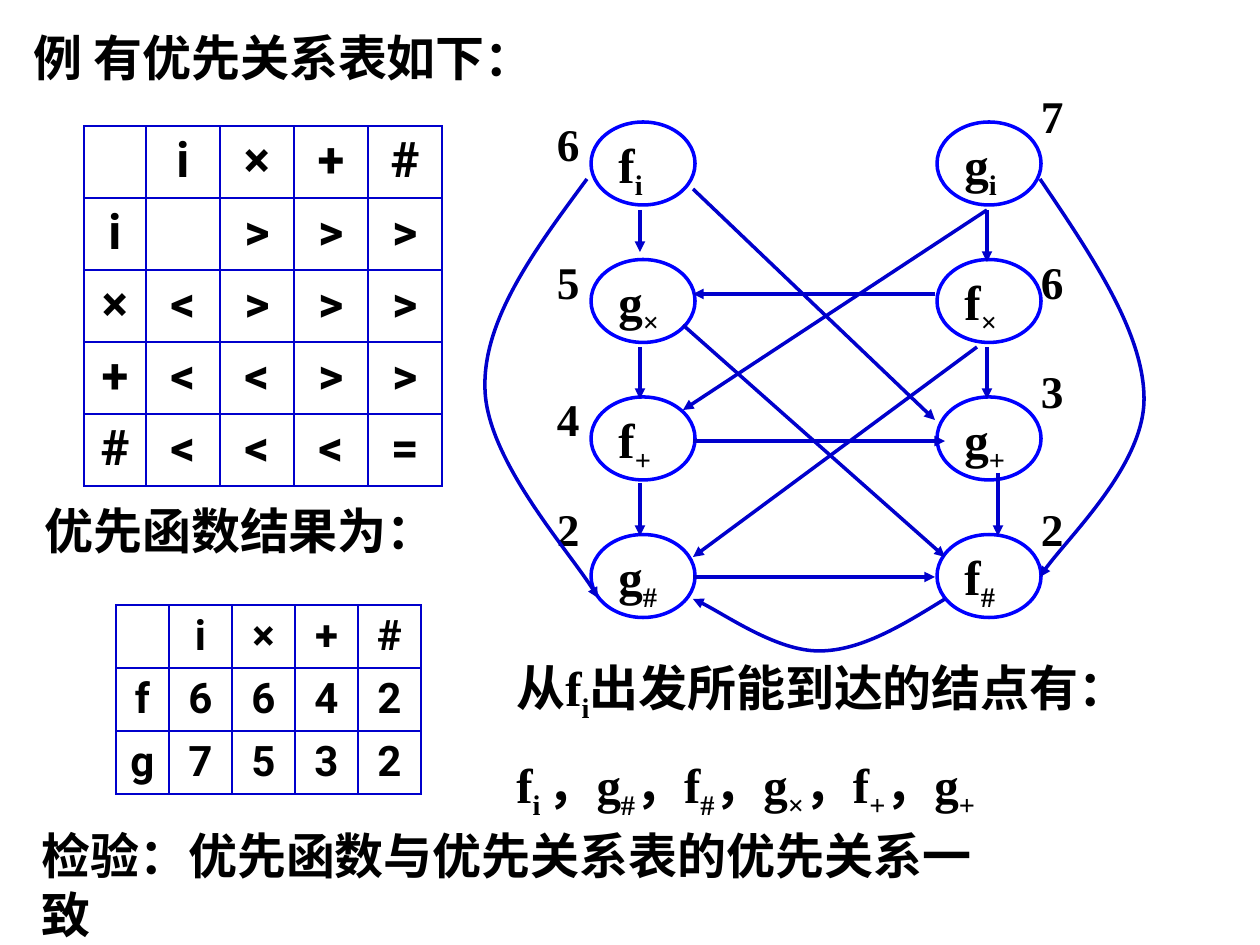
from dataclasses import dataclass
from itertools import accumulate

from lxml.etree import SubElement
from pptx import Presentation
from pptx.dml.color import RGBColor
from pptx.enum.shapes import MSO_CONNECTOR, MSO_SHAPE
from pptx.enum.text import MSO_ANCHOR, PP_ALIGN
from pptx.oxml import parse_xml
from pptx.oxml.ns import nsdecls, qn
from pptx.util import Emu, Pt

EMU_PER_PX = 914400 / 126
BLACK, LINK, RING = "000000", "0000CC", "0000FF"
SERIF, SANS = "Times New Roman", "Roboto"


@dataclass
class Node:
    label: str
    value: str
    col: int
    row: int
    value_top: int


@dataclass
class Grid:
    left: int
    top: int
    first_col: int
    col: int
    row: int
    size: int
    before: int
    rows: list[str]


@dataclass
class Caption:
    left: int
    top: int
    width: int
    height: int
    paragraphs: list[str]
    before: float = 0
    wrap: bool = True


NODES = [
    Node(" f|i", "6", 0, 0, 122), Node(" g|×", "5", 0, 1, 260),
    Node(" f|+", "4", 0, 2, 397), Node(" g|#", "2", 0, 3, 507),
    Node(" g|i", "7", 1, 0, 94), Node(" f|×", "6", 1, 1, 260),
    Node(" g|+", "3", 1, 2, 369), Node(" f|#", "2", 1, 3, 507),
]
NODE_LEFT, VALUE_LEFT = (591, 937), (557, 1041)
NODE_TOP, NODE_PITCH, NODE_W, NODE_H = 122, 137.5, 104, 83

ARROWS = [
    (640, 210, 640, 252), (693, 189, 935, 420), (987, 210, 987, 262),
    (935, 294, 693, 294), (987, 347, 987, 399), (977, 347, 693, 557),
    (987, 210, 683, 410), (640, 347, 640, 399), (693, 441, 945, 441),
    (640, 483, 640, 536), (683, 325, 945, 557), (998, 473, 998, 536),
    (693, 577, 935, 577),
]
CURVES = [
    [(587, 179), (536, 248), (483, 319), (485, 388), (486, 459), (580, 563), (598, 598)],
    [(1040, 179), (1092, 256), (1144, 333), (1144, 399), (1144, 465), (1057, 548), (1040, 577)],
    [(945, 599), (903, 625), (861, 651), (819, 651), (777, 651), (714, 607), (693, 599)],
]
# A dot marks an empty cell.
GRIDS = [
    Grid(84, 126, 62, 74, 72, 28, 7, [".i×+#", "i.>>>", "×<>>>", "+<<>>", "#<<<="]),
    Grid(116, 605, 53, 63, 63, 24, 6, [".i×+#", "f6642", "g7532"]),
]
CAPTIONS = [
    Caption(21, 21, 567, 72, ["例 有优先关系表如下："], before=17.5),
    Caption(32, 494, 416, 72, ["优先函数结果为："], wrap=False),
    Caption(29, 819, 1003, 72, ["检验：优先函数与优先关系表的优先关系一致"], wrap=False),
    Caption(504, 651, 693, 178,
            ["从f|i|出发所能到达的结点有：", "f|i |，g|#|，f|#|，g|×|，f|+|，g|+"], before=17.5),
]


def px(n: float) -> Emu:
    return Emu(round(n * EMU_PER_PX))


def rgb(value: str) -> RGBColor:
    return RGBColor.from_string(value)


def write(tf, *paragraphs: str, size: float = 28, font: str = SERIF, color: str = BLACK,
          align=None, before: float = 0, spacing: float | None = None) -> None:
    """Fill a text frame; every second part between bars is a subscript."""
    for i, text in enumerate(paragraphs):
        p = tf.add_paragraph() if i else tf.paragraphs[0]
        p.alignment, p.space_before, p.line_spacing = align, Pt(before), spacing
        for j, part in enumerate(text.split("|")):
            r = p.add_run()
            r.text = part
            r.font.size, r.font.name, r.font.bold = Pt(size), font, True
            r.font.color.rgb = rgb(color)
            if j % 2:
                r.font._element.set("baseline", "-25000")


def set_margins(tf, margin: int) -> None:
    tf.margin_left = tf.margin_right = tf.margin_top = tf.margin_bottom = margin


def style_line(sp, color: str, arrow: bool = False) -> None:
    sp.line.color.rgb = rgb(color)
    sp.line.width = Pt(2)
    if arrow:
        SubElement(sp.line._get_or_add_ln(), qn("a:tailEnd"), type="triangle")


def add_caption(s, c: Caption) -> None:
    tf = s.shapes.add_textbox(px(c.left), px(c.top), px(c.width), px(c.height)).text_frame
    tf.word_wrap = c.wrap
    write(tf, *c.paragraphs, before=c.before)


def add_grid(s, g: Grid) -> None:
    n_rows, n_cols = len(g.rows), len(g.rows[0])
    widths = [g.first_col] + [g.col] * (n_cols - 1)
    table = s.shapes.add_table(n_rows, n_cols, px(g.left), px(g.top),
                               px(sum(widths)), px(g.row * n_rows)).table
    table.first_row = table.horz_banding = False
    for column, width in zip(table.columns, widths):
        column.width = px(width)
    for row, marks in zip(table.rows, g.rows):
        row.height = px(g.row)
        for cell, mark in zip(row.cells, marks):
            cell.fill.background()
            add_borders(cell)
            if mark != ".":
                write(cell.text_frame, mark, size=g.size, font=SANS,
                      align=PP_ALIGN.CENTER, before=g.before)


def add_borders(cell) -> None:
    for i, side in enumerate("LRTB"):
        cell._tc.get_or_add_tcPr().insert(i, parse_xml(
            f'<a:ln{side} {nsdecls("a")} w="{Pt(1.08)}"><a:solidFill>'
            f'<a:srgbClr val="{LINK}"/></a:solidFill></a:ln{side}>'))


def add_node(s, n: Node) -> None:
    sp = s.shapes.add_shape(MSO_SHAPE.OVAL, px(NODE_LEFT[n.col]),
                            px(NODE_TOP + NODE_PITCH * n.row), px(NODE_W), px(NODE_H))
    sp.shadow.inherit = False
    sp.fill.background()
    style_line(sp, RING)
    sp.text_frame.vertical_anchor = MSO_ANCHOR.TOP
    value = s.shapes.add_textbox(px(VALUE_LEFT[n.col]), px(n.value_top), px(34), px(55))
    value.text_frame.word_wrap = True
    for tf in (sp.text_frame, value.text_frame):
        set_margins(tf, 0)
    write(sp.text_frame, n.label, align=PP_ALIGN.JUSTIFY)
    write(value.text_frame, n.value, size=25.9, align=PP_ALIGN.JUSTIFY, spacing=0.9)


def add_arrow(s, ends: tuple[int, int, int, int]) -> None:
    cx = s.shapes.add_connector(MSO_CONNECTOR.STRAIGHT, *map(px, ends))
    style_line(cx, LINK, arrow=True)
    SubElement(cx._element.spPr, qn("a:effectLst"))


def add_curve(s, points: list[tuple[int, int]]) -> None:
    """Draw a polyline, then turn each three segments into one Bézier curve."""
    fb = s.shapes.build_freeform(*points[0], scale=EMU_PER_PX)
    fb.add_line_segments(points[1:], close=False)
    sp = fb.convert_to_shape()
    outline = next(sp._element.iter(qn("a:path")))
    segments = outline.findall(qn("a:lnTo"))
    for i in range(0, len(segments), 3):
        bezier = SubElement(outline, qn("a:cubicBezTo"))
        for segment in segments[i:i + 3]:
            bezier.append(segment[0])
            outline.remove(segment)
    sp.shadow.inherit = False
    sp.fill.background()
    style_line(sp, LINK, arrow=True)


def main() -> None:
    prs = Presentation()
    prs.slide_width, prs.slide_height = px(1260), px(945)
    s = prs.slides.add_slide(prs.slide_layouts[6])
    for draw, items in ((add_grid, GRIDS), (add_node, NODES), (add_arrow, ARROWS),
                        (add_curve, CURVES), (add_caption, CAPTIONS)):
        for item in items:
            draw(s, item)
    prs.save("out.pptx")


if __name__ == "__main__":
    main()
